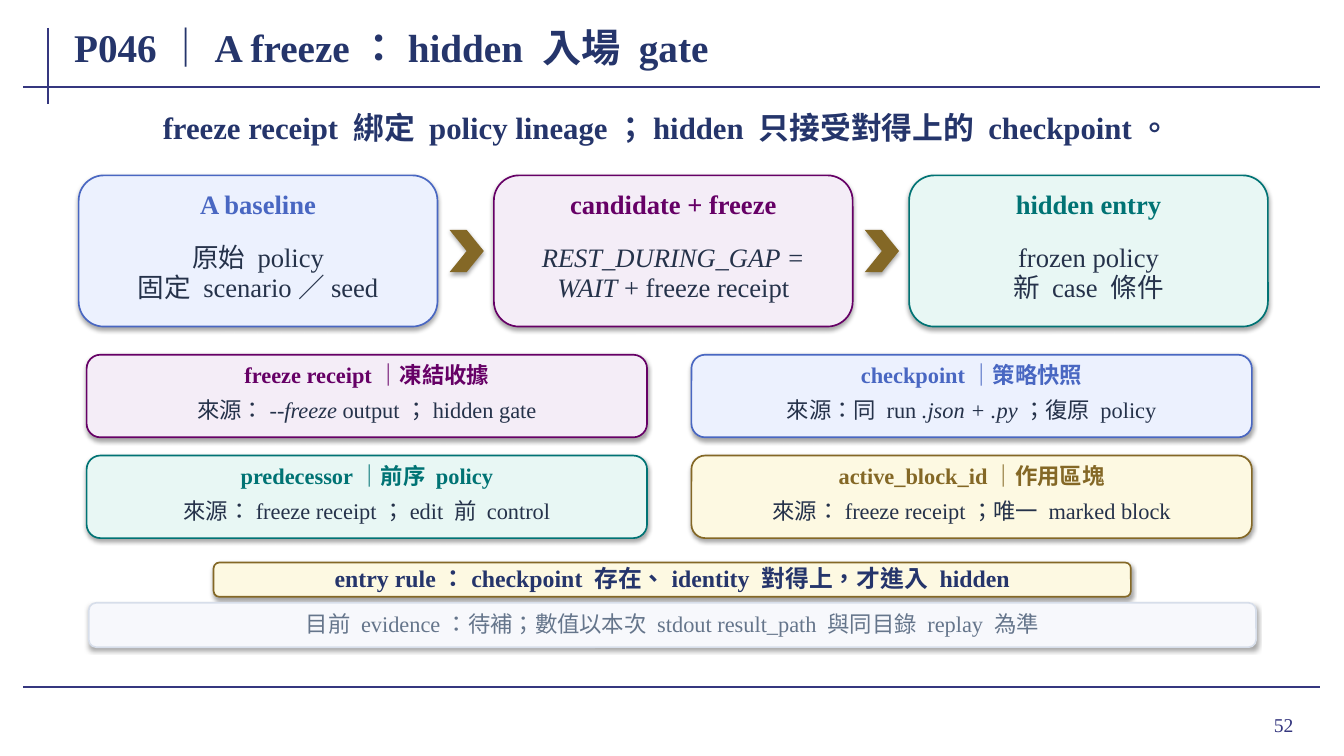
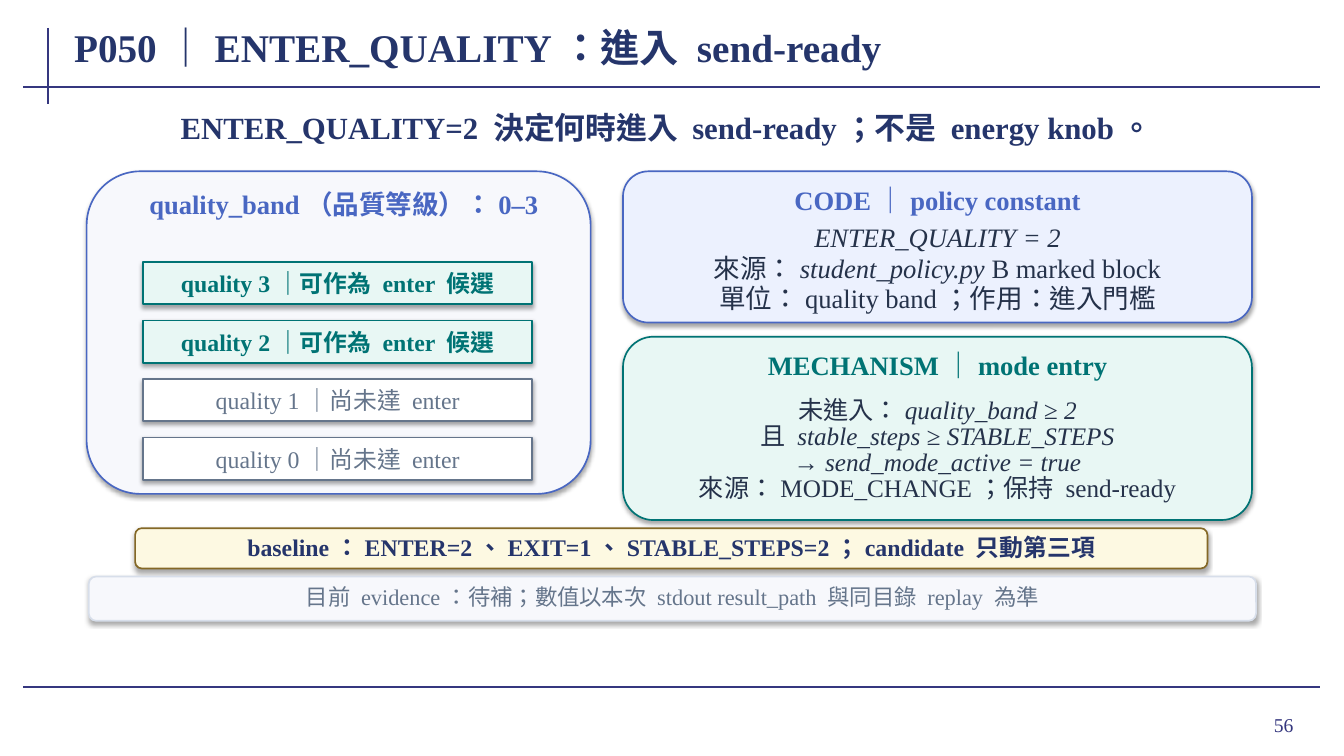
import pptx
import pptx.util
import pptx.dml.color
import pptx.enum.lang
import pptx.enum.shapes
import pptx.enum.text
import pptx.oxml.xmlchemy

Pt = pptx.util.Pt
RGBColor = pptx.dml.color.RGBColor
Shape = pptx.enum.shapes.MSO_SHAPE
Align = pptx.enum.text.PP_ALIGN
AutoSize = pptx.enum.text.MSO_AUTO_SIZE

RULE = RGBColor(0x35, 0x37, 0x7F)
NAVY = RGBColor(0x25, 0x35, 0x6B)
INK = RGBColor(0x25, 0x32, 0x4A)
GRAY = RGBColor(0x65, 0x75, 0x8B)
PALE_LINE = RGBColor(0xD7, 0xDE, 0xEA)
PALE = RGBColor(0xF7, 0xF8, 0xFC)
WHITE = RGBColor(0xFF, 0xFF, 0xFF)
BLUE = RGBColor(0x49, 0x67, 0xC2)
PURPLE = RGBColor(0x66, 0x00, 0x66)
TEAL = RGBColor(0x00, 0x73, 0x74)
GOLD = RGBColor(0x84, 0x68, 0x26)
TINTS = {
    BLUE: RGBColor(0xEC, 0xF1, 0xFE),
    PURPLE: RGBColor(0xF4, 0xED, 0xF7),
    TEAL: RGBColor(0xE8, 0xF7, 0xF4),
    GOLD: RGBColor(0xFD, 0xF9, 0xE2),
}

FONT = "Times New Roman"
FRAME_RULES = [(34, 20, 34, 74), (16.5, 62, 943, 62), (16.5, 491, 943, 491)]
EVIDENCE = "目前 evidence：待補；數值以本次 stdout result_path 與同目錄 replay 為準"


def points(*lengths):
    return [Pt(length) for length in lengths]


def write_text(shape, lines, size, color, bold=False, spacing=None,
               align=Align.CENTER, inset=1, grow=False):
    """Write one paragraph per line; text between asterisks is italic."""
    frame = shape.text_frame
    frame.word_wrap = True
    frame.auto_size = AutoSize.SHAPE_TO_FIT_TEXT if grow else AutoSize.NONE
    frame.vertical_anchor = pptx.enum.text.MSO_ANCHOR.MIDDLE
    frame.margin_left = frame.margin_right = Pt(inset)
    frame.margin_top = frame.margin_bottom = 0
    for index, line in enumerate(lines):
        paragraph = frame.paragraphs[0] if index == 0 else frame.add_paragraph()
        paragraph.alignment = align
        if spacing:
            paragraph.line_spacing = spacing
        for part, text in enumerate(line.split("*")):
            if not text:
                continue
            run = paragraph.add_run()
            run.text = text
            run.font.name = FONT
            run.font.size = Pt(size)
            run.font.bold = bold
            run.font.italic = part % 2 == 1
            run.font.color.rgb = color
            run.font.language_id = pptx.enum.lang.MSO_LANGUAGE_ID.TRADITIONAL_CHINESE


def add_text(slide, box, lines, size, color, **style):
    write_text(slide.shapes.add_textbox(*points(*box)), lines, size, color, **style)


def add_box(slide, kind, box, fill, line=None):
    """Add a filled shape that keeps the soft shadow of the theme."""
    shape = slide.shapes.add_shape(kind, *points(*box))
    shape.fill.solid()
    shape.fill.fore_color.rgb = fill
    if line is None:
        shape.line.fill.background()
    else:
        shape.line.color.rgb = line
        shape.line.width = Pt(1.2)
    return shape


def add_card(slide, box, color, title, lines, size=19, spacing=0.96):
    left, top, width, height = box
    add_box(slide, Shape.ROUNDED_RECTANGLE, box, TINTS[color], color)
    add_text(slide, (left + 11.5, top + 8.6, width - 23, 26), [title], 19, color,
             bold=True, spacing=0.92, grow=True)
    add_text(slide, (left + 13, top + 40.3, width - 26, height - 49), lines, size, INK,
             spacing=spacing, inset=2, grow=True)


def add_source_card(slide, box, color, title, line):
    left, top, width, _ = box
    add_box(slide, Shape.ROUNDED_RECTANGLE, box, TINTS[color], color)
    add_text(slide, (left + 11.5, top + 5, width - 23, 20.2), [title], 16, color,
             bold=True, spacing=0.92, grow=True)
    add_text(slide, (left + 13, top + 26.6, width - 26, 27.4), [line], 16, INK,
             spacing=0.88, grow=True)


def add_rule_bar(slide, box, text):
    bar = add_box(slide, Shape.ROUNDED_RECTANGLE, box, TINTS[GOLD], GOLD)
    write_text(bar, [text], 17, NAVY, bold=True, spacing=0.92)


def add_evidence_bar(slide, top):
    bar = add_box(slide, Shape.ROUNDED_RECTANGLE, (63.4, top, 833.8, 31.7), PALE, PALE_LINE)
    write_text(bar, [EVIDENCE], 16, GRAY, spacing=0.9)


def add_frame_rules(slide):
    """Draw the frame lines and move them to the layout that all slides share."""
    for number, ends in enumerate(FRAME_RULES, start=1):
        rule = slide.shapes.add_connector(
            pptx.enum.shapes.MSO_CONNECTOR.STRAIGHT, *points(*ends))
        rule.name = f"Frame rule {number}"
        rule.line.color.rgb = RULE
        rule.line.width = Pt(1.5)
        rule.element.spPr.append(pptx.oxml.xmlchemy.OxmlElement("a:effectLst"))
        rule.element.nvCxnSpPr.cNvPr.set("id", str(20 + number))
        slide.slide_layout.shapes.element.append(rule.element)


def add_slide(presentation, title, headline, number):
    slide = presentation.slides.add_slide(presentation.slide_layouts[5])
    placeholder = slide.shapes.title
    placeholder.left, placeholder.top, placeholder.width, placeholder.height = points(
        52, 14.4, 745, 38)
    write_text(placeholder, [title], 28, NAVY, bold=True, align=Align.LEFT)
    add_text(slide, (861, 499, 70, 37.4), [number], 14, RULE, align=Align.RIGHT, inset=7.2)
    add_text(slide, (68, 75.6, 816, 30.2), [headline], 22, NAVY, bold=True, grow=True)
    return slide


def build_freeze_gate(slide):
    left, top, width, pitch = 56.2, 125.3, 256.3, 296.6
    stages = [
        (BLUE, "A baseline", ["原始 policy", "固定 scenario／seed"]),
        (PURPLE, "candidate + freeze",
         ["*REST_DURING_GAP =*", "*WAIT* + freeze receipt"]),
        (TEAL, "hidden entry", ["frozen policy", "新 case 條件"]),
    ]
    for index, (color, title, lines) in enumerate(stages):
        stage_left = left + index * pitch
        if index:
            add_box(slide, Shape.CHEVRON, (stage_left - 31.7, 164.2, 24.5, 30.2), GOLD)
        add_card(slide, (stage_left, top, width, 108), color, title, lines)

    sources = [
        (PURPLE, "freeze receipt｜凍結收據", "來源：*--freeze* output；hidden gate"),
        (BLUE, "checkpoint｜策略快照", "來源：同 run *.json + .py*；復原 policy"),
        (TEAL, "predecessor｜前序 policy", "來源：freeze receipt；edit 前 control"),
        (GOLD, "active_block_id｜作用區塊", "來源：freeze receipt；唯一 marked block"),
    ]
    for index, (color, title, line) in enumerate(sources):
        row, column = divmod(index, 2)
        box = (61.9 + column * 432, 253.4 + row * 72, 400.3, 59)
        add_source_card(slide, box, color, title, line)

    add_rule_bar(slide, (152.6, 401.8, 655.2, 24.5),
                 "entry rule：checkpoint 存在、identity 對得上，才進入 hidden")
    add_evidence_bar(slide, 430.6)


def build_enter_quality(slide):
    add_box(slide, Shape.ROUNDED_RECTANGLE, (61.9, 122.4, 360, 230.4), PALE, BLUE)
    add_text(slide, (82, 135.4, 327, 20.2), ["quality_band（品質等級）：0–3"], 19, BLUE,
             bold=True, grow=True)
    for index, level in enumerate((3, 2, 1, 0)):
        ready = level >= 2
        color, fill = (TEAL, TINTS[TEAL]) if ready else (GRAY, WHITE)
        status = "可作為 enter 候選" if ready else "尚未達 enter"
        row = add_box(slide, Shape.RECTANGLE,
                      (102.2, 187.2 + index * 41.76, 278, 30.2), fill, color)
        write_text(row, [f"quality {level}｜{status}"], 17, color, bold=ready)

    add_card(slide, (445, 122.4, 449.3, 108), BLUE, "CODE｜policy constant", [
        "*ENTER_QUALITY = 2*",
        "來源：*student_policy.py* B marked block",
        "單位：quality band；作用：進入門檻",
    ])
    add_card(slide, (445, 240.5, 449.3, 131), TEAL, "MECHANISM｜mode entry", [
        "未進入：*quality_band ≥ 2*",
        "且 *stable_steps ≥ STABLE_STEPS*",
        "→ *send_mode_active = true*",
        "來源：MODE_CHANGE；保持 send-ready",
    ], size=18, spacing=0.86)
    add_rule_bar(slide, (96.5, 377.3, 766, 28.8),
                 "baseline：ENTER=2、EXIT=1、STABLE_STEPS=2；candidate 只動第三項")
    add_evidence_bar(slide, 411.8)


def main():
    presentation = pptx.Presentation()
    presentation.slide_width, presentation.slide_height = points(960, 540)
    freeze_slide = add_slide(
        presentation, "P046｜A freeze：hidden 入場 gate",
        "freeze receipt 綁定 policy lineage；hidden 只接受對得上的 checkpoint。", "52")
    add_frame_rules(freeze_slide)
    build_freeze_gate(freeze_slide)
    quality_slide = add_slide(
        presentation, "P050｜ENTER_QUALITY：進入 send-ready",
        "ENTER_QUALITY=2 決定何時進入 send-ready；不是 energy knob。", "56")
    build_enter_quality(quality_slide)
    presentation.save("out.pptx")


if __name__ == "__main__":
    main()
